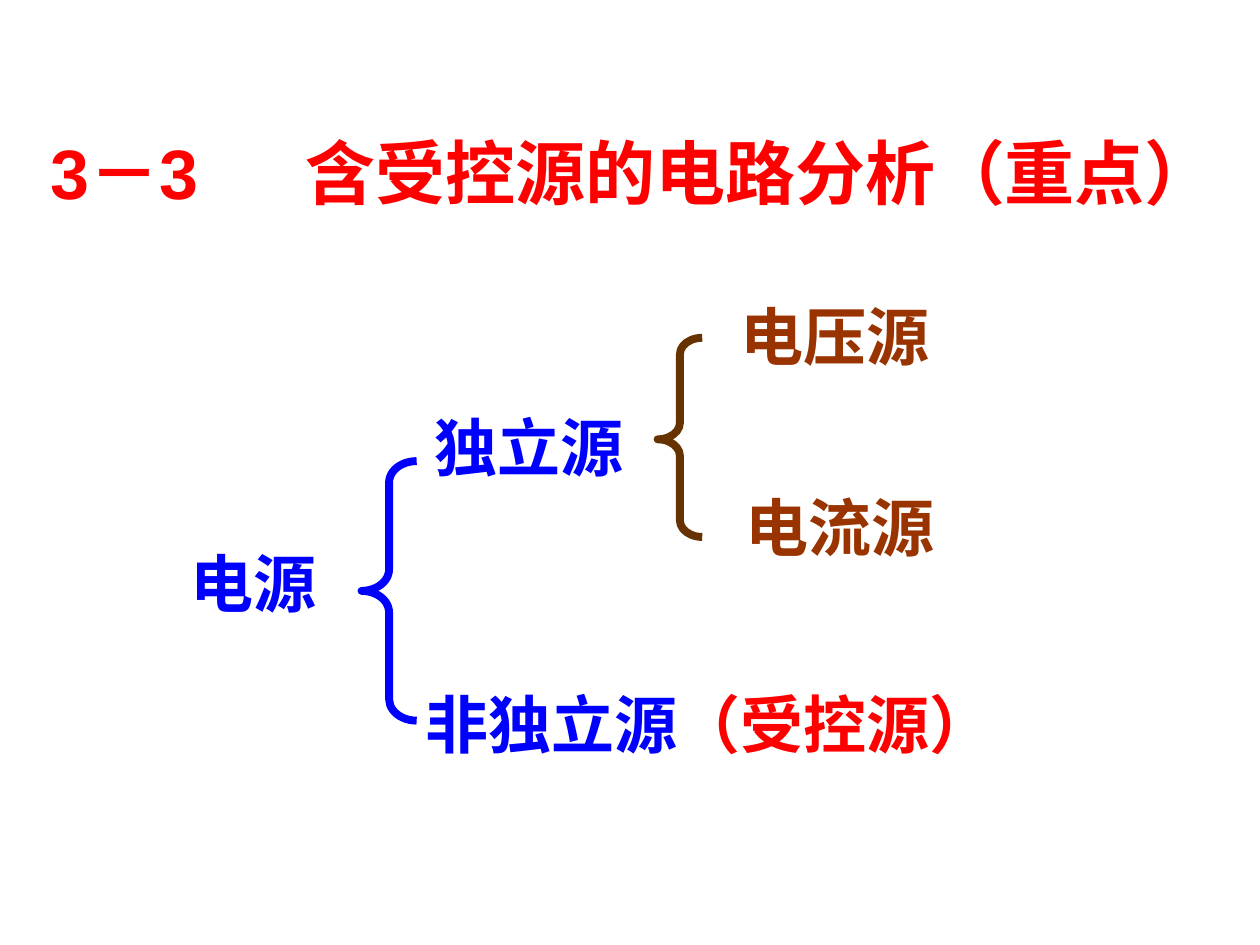
from lxml import etree
from pptx import Presentation
from pptx.dml.color import RGBColor
from pptx.enum.shapes import MSO_SHAPE
from pptx.oxml.ns import qn
from pptx.util import Pt

LEFT_BRACE = MSO_SHAPE.LEFT_BRACE
BLUE = RGBColor(0x00, 0x00, 0xFF)
RED = RGBColor(0xFF, 0x00, 0x00)
BROWN = RGBColor(0x99, 0x33, 0x00)
DARK_BROWN = RGBColor(0x66, 0x33, 0x00)
CHINESE_FONT = "Noto Sans CJK SC"


def add_label(slide, left, top, width, height, parts, size=36, latin=CHINESE_FONT, tab=None):
    shape = slide.shapes.add_textbox(Pt(left), Pt(top), Pt(width), Pt(height))
    shape.text_frame.word_wrap = True
    paragraph = shape.text_frame.paragraphs[0]
    if tab:
        tabs = etree.SubElement(paragraph._p.get_or_add_pPr(), qn("a:tabLst"))
        etree.SubElement(tabs, qn("a:tab"), pos=str(Pt(tab)), algn="l")
    font = paragraph.font
    font.size = Pt(size)
    font.bold = True
    font.name = latin
    for text, color in parts:
        run = paragraph.add_run()
        run.text = text
        run.font.color.rgb = color
        etree.SubElement(run.font._element, qn("a:ea"), typeface=CHINESE_FONT)


presentation = Presentation()
presentation.slide_width = Pt(720)
presentation.slide_height = Pt(540)
slide = presentation.slides.add_slide(presentation.slide_layouts[6])

add_label(slide, 21.6, 70.6, 680.4, 55.4, [("3－3\t含受控源的电路分析（重点）", RED)],
          size=40, latin="Arial", tab=146)

labels = [
    (101.5, 307.5, 121, [("电源", BLUE)]),
    (236.2, 388.1, 377.3, [("非独立源", BLUE), ("（受控源）", RED)]),
    (241.2, 229.7, 141.1, [("独立源", BLUE)]),
    (416.2, 166.3, 175.7, [("电压源", BROWN)]),
    (419, 275.8, 161.3, [("电流源", BROWN)]),
]
for left, top, width, parts in labels:
    add_label(slide, left, top, width, 50.4, parts)

braces = [
    (206.6, 263.5, 31.5, 148.3, 0.39, 0.5, BLUE),
    (375.8, 193, 25.5, 113.8, 0.37, 0.51, DARK_BROWN),
]
for left, top, width, height, curve, point, color in braces:
    brace = slide.shapes.add_shape(LEFT_BRACE, Pt(left), Pt(top), Pt(width), Pt(height))
    brace.adjustments[0] = curve
    brace.adjustments[1] = point
    brace.shadow.inherit = False
    brace.fill.background()
    brace.line.color.rgb = color
    brace.line.width = Pt(4.5)

presentation.save("out.pptx")
